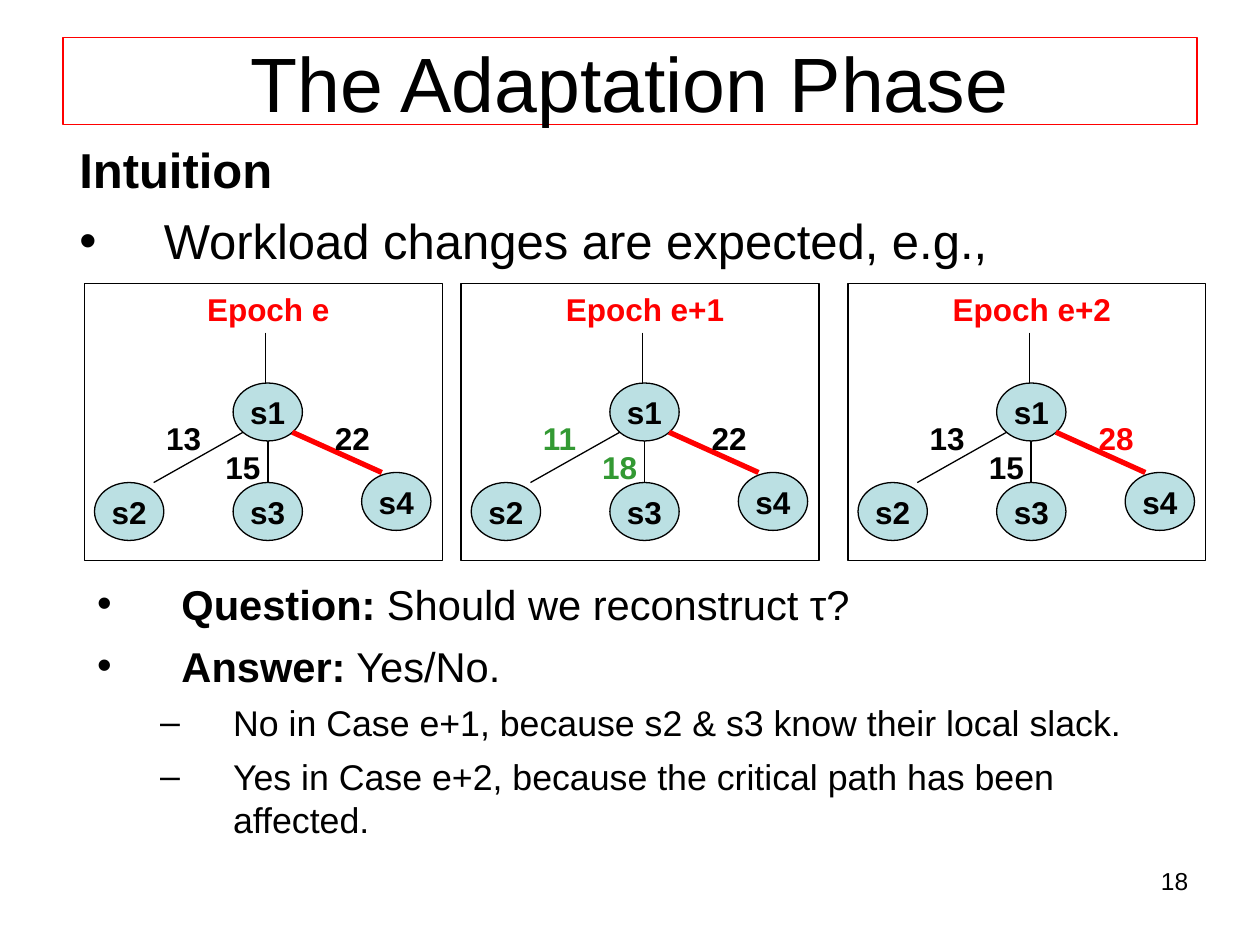
from lxml import etree
from pptx import Presentation
from pptx import util as u
from pptx.dml.color import RGBColor
from pptx.enum import shapes, text
from pptx.oxml.ns import qn

BLACK = RGBColor(0x00, 0x00, 0x00)
RED = RGBColor(0xFF, 0x00, 0x00)
GREEN = RGBColor(0x33, 0x99, 0x33)
PALE_BLUE = RGBColor(0xBB, 0xE0, 0xE3)
FONT = "Arial"
ALIGN = text.PP_ALIGN
ANCHOR = text.MSO_ANCHOR
OVAL_W, OVAL_H = 0.55, 0.46


def place(sp, x, y, w, h):
    sp.left, sp.top, sp.width, sp.height = map(u.Inches, (x, y, w, h))


def add_run(p, content, size=18, color=BLACK, bold=False):
    r = p.add_run()
    r.text = content
    f = r.font
    f.name, f.size, f.bold = FONT, u.Pt(size), bold
    f.color.rgb = color


def write(sp, content, align=ALIGN.LEFT, anchor=ANCHOR.TOP, wrap=True, **fmt):
    tf = sp.text_frame
    tf.word_wrap = wrap
    tf.auto_size = text.MSO_AUTO_SIZE.NONE
    tf.vertical_anchor = anchor
    p = tf.paragraphs[0]
    p.alignment = align
    add_run(p, content, **fmt)


def add_label(s, x, y, w, h, content, **fmt):
    sp = s.shapes.add_textbox(*map(u.Inches, (x, y, w, h)))
    write(sp, content, **fmt)


def add_outlined(s, kind, x, y, w, h, fill=None):
    sp = s.shapes.add_shape(kind, *map(u.Inches, (x, y, w, h)))
    sp.shadow.inherit = False
    if fill is None:
        sp.fill.background()
    else:
        sp.fill.solid()
        sp.fill.fore_color.rgb = fill
    sp.line.color.rgb = BLACK
    sp.line.width = u.Pt(0.75)
    return sp


def add_line(s, x1, y1, x2, y2, color=BLACK, width=0.75):
    cx = s.shapes.add_connector(shapes.MSO_CONNECTOR.STRAIGHT,
                                *map(u.Inches, (x1, y1, x2, y2)))
    cx.line.color.rgb = color
    cx.line.width = u.Pt(width)
    etree.SubElement(cx._element.spPr, qn("a:effectLst"))
    return cx


def set_bullet(p, char, margin, indent):
    pPr = p._p.get_or_add_pPr()
    pPr.set("marL", str(u.Inches(margin)))
    pPr.set("indent", str(u.Inches(indent)))
    if char:
        font = etree.SubElement(pPr, qn("a:buFont"))
        font.set("typeface", FONT)
        etree.SubElement(pPr, qn("a:buChar")).set("char", char)
    else:
        etree.SubElement(pPr, qn("a:buNone"))


def add_title(s, x, y, w, h, content):
    sp = s.shapes.title
    place(sp, x, y, w, h)
    sp.line.color.rgb = RED
    sp.line.width = u.Pt(0.75)
    write(sp, content, align=ALIGN.CENTER, anchor=ANCHOR.MIDDLE, size=44)


def add_list(sp, x, y, w, h, items):
    place(sp, x, y, w, h)
    tf = sp.text_frame
    tf.word_wrap = True
    tf.auto_size = text.MSO_AUTO_SIZE.NONE
    styles = {"": (0, 0, 0, 7), "•": (0, 0.67, -0.67, 7), "–": (1, 1.08, -0.58, 6)}
    for i, (char, size, strong, plain) in enumerate(items):
        p = tf.add_paragraph() if i else tf.paragraphs[0]
        level, margin, indent, before = styles[char]
        p.level = level
        set_bullet(p, char, margin, indent)
        p.space_before = u.Pt(before if i else 0)
        if strong:
            add_run(p, strong, size=size, bold=True)
        if plain:
            add_run(p, plain, size=size)


def add_epoch(s, x, y, w, h, heading, costs):
    add_outlined(s, shapes.MSO_SHAPE.RECTANGLE, x, y, w, h)
    nodes = {}
    for name, dx, dy in (("s1", 1.18, 0.79), ("s2", 0.08, 1.58),
                         ("s3", 1.18, 1.58), ("s4", 2.2, 1.5)):
        sp = add_outlined(s, shapes.MSO_SHAPE.OVAL, x + dx, y + dy,
                          OVAL_W, OVAL_H, PALE_BLUE)
        write(sp, name, align=ALIGN.CENTER, anchor=ANCHOR.MIDDLE, wrap=False, bold=True)
        nodes[name] = sp
    add_line(s, x + 1.44, y + 0.39, x + 1.44, y + 0.79)
    add_line(s, x + 1.26, y + 1.18, x + 0.55, y + 1.58)
    add_line(s, x + 1.65, y + 1.18, x + 2.36, y + 1.5, RED, 3)
    middle = x + 1.18 + OVAL_W / 2
    trunk = add_line(s, middle, y + 1.25, middle, y + 1.58, width=1)
    trunk.end_connect(nodes["s3"], 0)
    for (cost, color), (dx, dy) in zip(costs, ((0.55, 1.03), (1.02, 1.26), (1.89, 1.03))):
        add_label(s, x + dx, y + dy, OVAL_W, 0.4, cost, color=color, bold=True)
    add_label(s, x + 0.16, y, 2.6, 0.4, heading, align=ALIGN.CENTER, color=RED, bold=True)


def main():
    prs = Presentation()
    prs.slide_width, prs.slide_height = u.Inches(10), u.Inches(7.5)
    s = prs.slides.add_slide(prs.slide_layouts[3])
    add_title(s, 0.5, 0.3, 9, 0.69, "The Adaptation Phase")
    add_list(s.placeholders[1], 0.53, 1.06, 8.9, 1.19, (
        ("", 28, "Intuition", ""),
        ("•", 28, "", "Workload changes are expected, e.g.,"),
    ))
    epochs = (
        (0.67, "Epoch e", (("13", BLACK), ("15", BLACK), ("22", BLACK))),
        (3.66, "Epoch e+1", (("11", GREEN), ("18", GREEN), ("22", BLACK))),
        (6.73, "Epoch e+2", (("13", BLACK), ("15", BLACK), ("28", RED))),
    )
    for x, heading, costs in epochs:
        add_epoch(s, x, 2.25, 2.84, 2.2, heading, costs)
    add_list(s.placeholders[2], 0.67, 4.54, 8.82, 2.36, (
        ("•", 23.8, "Question:", " Should we reconstruct τ?"),
        ("•", 23.8, "Answer:", " Yes/No."),
        ("–", 20.4, "", "No in Case e+1, because s2 & s3 know their local slack."),
        ("–", 20.4, "", "Yes in Case e+2, because the critical path has been affected."),
    ))
    add_label(s, 7.2, 6.82, 2.33, 0.52, "18", align=ALIGN.RIGHT, size=14)
    prs.save("out.pptx")


if __name__ == "__main__":
    main()
